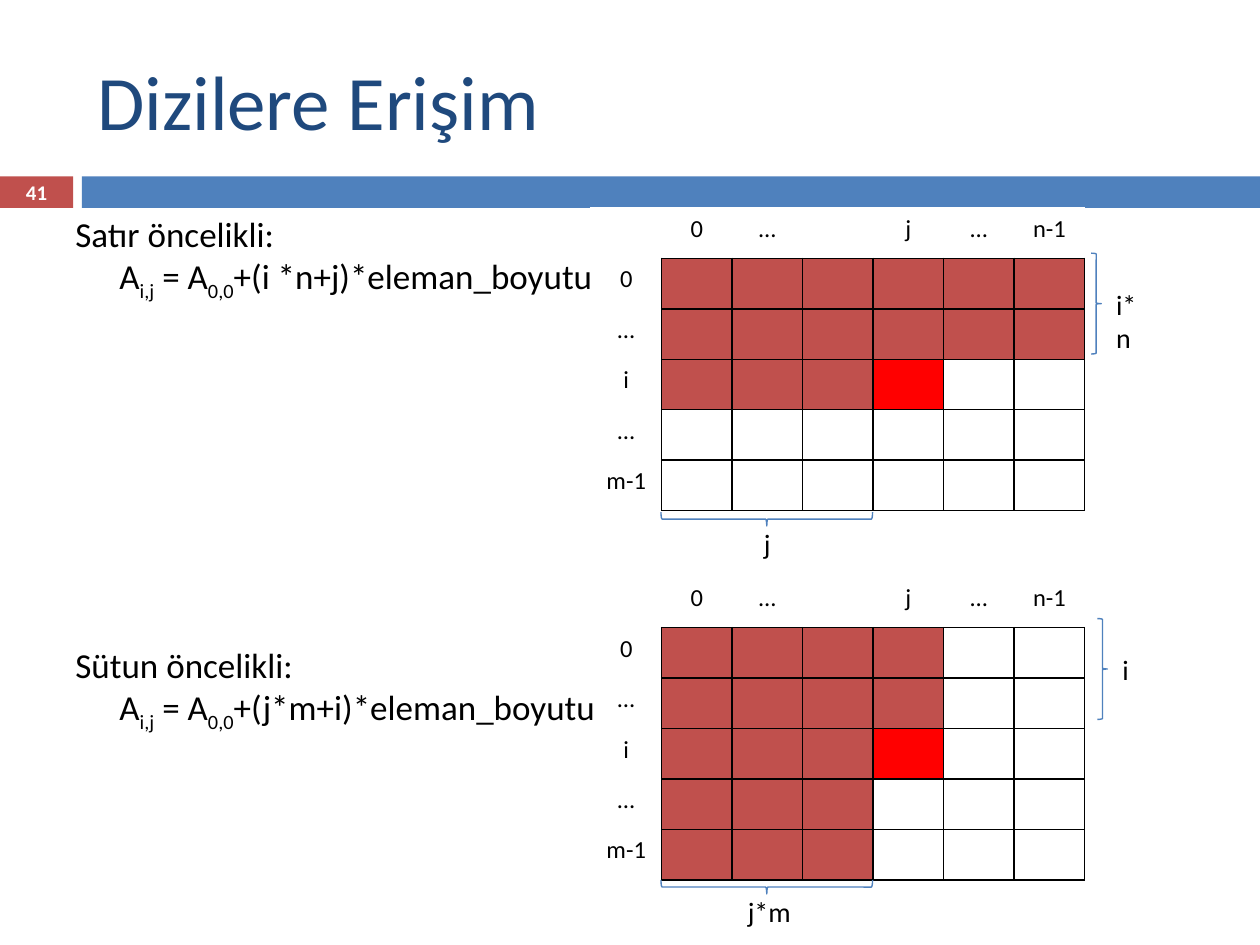
from pptx import Presentation
from pptx.dml.color import RGBColor
from pptx.enum.shapes import MSO_SHAPE
from pptx.enum.text import MSO_ANCHOR, PP_ALIGN
from pptx.oxml import parse_xml
from pptx.oxml.ns import nsdecls
from pptx.util import Inches, Pt

COLORS = {
    "title": "1F497D",
    "bar": "4F81BD",
    "visited": "C0504D",
    "target": "FF0000",
    "white": "FFFFFF",
    "black": "000000",
}
COLUMN_LABELS = ["", "0", "…", "", "j", "…", "n-1"]
ROW_LABELS = ["", "0", "…", "i", "…", "m-1"]
TARGET_ROW, TARGET_COLUMN = 2, 3


class SlideBuilder:
    font_name = "Calibri"

    def __init__(self, slide):
        self.slide = slide

    def color(self, name):
        return RGBColor.from_string(COLORS[name])

    def format_font(self, font, size, color="black", bold=False):
        font.name = self.font_name
        font.size = Pt(size)
        font.bold = bold
        font.color.rgb = self.color(color)

    def title(self, text, left, top, width, height):
        shape = self.slide.shapes.title
        shape.left, shape.top = Inches(left), Inches(top)
        shape.width, shape.height = Inches(width), Inches(height)
        shape.text_frame.text = text
        shape.text_frame.vertical_anchor = MSO_ANCHOR.MIDDLE
        paragraph = shape.text_frame.paragraphs[0]
        paragraph.alignment = PP_ALIGN.LEFT
        self.format_font(paragraph.runs[0].font, 44, "title")

    def bar(self, left, top, width, height, color):
        shape = self.slide.shapes.add_shape(
            MSO_SHAPE.RECTANGLE, Inches(left), Inches(top), Inches(width), Inches(height))
        shape.shadow.inherit = False
        shape.fill.solid()
        shape.fill.fore_color.rgb = self.color(color)
        shape.line.fill.background()

    def brace(self, left, top, width, height, rotation=0):
        shape = self.slide.shapes.add_shape(
            MSO_SHAPE.RIGHT_BRACE, Inches(left), Inches(top), Inches(width), Inches(height))
        shape.rotation = rotation
        shape.shadow.inherit = False
        shape.fill.background()
        shape.line.color.rgb = self.color("bar")
        shape.line.width = Pt(0.79)

    def text_box(self, left, top, width, height):
        box = self.slide.shapes.add_textbox(
            Inches(left), Inches(top), Inches(width), Inches(height))
        box.text_frame.word_wrap = True
        return box.text_frame

    def label(self, text, left, top, width, height, size=16,
              alignment=PP_ALIGN.CENTER, color="black", bold=False):
        frame = self.text_box(left, top, width, height)
        frame.text = text
        frame.vertical_anchor = MSO_ANCHOR.MIDDLE if bold else MSO_ANCHOR.TOP
        frame.paragraphs[0].alignment = alignment
        self.format_font(frame.paragraphs[0].runs[0].font, size, color, bold)

    def formula(self, paragraph, heading, offset):
        """Write a heading and, on the next line, an address formula."""
        properties = paragraph._p.get_or_add_pPr()
        properties.set("marL", str(Inches(0.35)))
        properties.set("indent", str(-Inches(0.35)))
        paragraph.text = f"{heading}\v"
        for text, subscript in [("A", False), ("i,j", True), (" = A", False),
                                ("0,0", True), (f"+{offset}*eleman_boyutu", False)]:
            run = paragraph.add_run()
            run.text = text
            if subscript:
                run.font._element.set("baseline", "-25000")
        for run in paragraph.runs:
            self.format_font(run.font, 20)

    def cell_borders(self, cell, colors):
        properties = cell._tc.get_or_add_tcPr()
        for side, color in zip("LRTB", colors):
            properties.append(parse_xml(
                f'<a:ln{side} {nsdecls("a")} w="12700"><a:solidFill>'
                f'<a:srgbClr val="{COLORS[color]}"/></a:solidFill></a:ln{side}>'))

    def matrix(self, left, top, is_visited):
        rows, columns = len(ROW_LABELS), len(COLUMN_LABELS)
        table = self.slide.shapes.add_table(
            rows, columns, Inches(left), Inches(top), Inches(3.92), Inches(2.33)).table
        table.first_row = table.horz_banding = False
        for column in table.columns:
            column.width = Inches(0.56)
        for index, row in enumerate(table.rows):
            row.height = Inches(0.4 if index else 0.33)
        for row in range(rows):
            for column in range(columns):
                cell = table.cell(row, column)
                inside = row > 0 and column > 0
                position = (row - 1, column - 1)
                fill = "white"
                if inside and position == (TARGET_ROW, TARGET_COLUMN):
                    fill = "target"
                elif inside and is_visited(*position):
                    fill = "visited"
                # Edges that touch the matrix are black, the others white
                edge = "black" if inside else "white"
                right = "black" if row > 0 else "white"
                bottom = "black" if column > 0 else "white"
                self.cell_borders(cell, [edge, right, edge, bottom])
                cell.fill.solid()
                cell.fill.fore_color.rgb = self.color(fill)
                text = "" if inside else COLUMN_LABELS[column] or ROW_LABELS[row]
                if text:
                    cell.text_frame.text = text
                    paragraph = cell.text_frame.paragraphs[0]
                    paragraph.alignment = PP_ALIGN.CENTER
                    self.format_font(paragraph.runs[0].font, 14)


def main():
    presentation = Presentation()
    presentation.slide_width, presentation.slide_height = Inches(10), Inches(7.5)
    builder = SlideBuilder(presentation.slides.add_slide(presentation.slide_layouts[5]))

    # Title, bars and slide number
    builder.bar(0, 1.4, 0.58, 0.25, "visited")
    builder.bar(0.65, 1.4, 9.35, 0.25, "bar")
    builder.title("Dizilere Erişim", 0.67, 0.25, 8.92, 1.08)
    builder.label("41", 0, 1.39, 0.58, 0.27, size=11.9, color="white", bold=True)

    # Row-major matrix
    builder.matrix(4.69, 1.65, lambda row, column:
                   (row, column) < (TARGET_ROW, TARGET_COLUMN))
    builder.brace(8.66, 2.01, 0.08, 0.8)
    builder.brace(6.03, 3.28, 0.11, 1.68, rotation=90)
    builder.label("i*n", 8.76, 2.23, 0.46, 0.37, alignment=PP_ALIGN.LEFT)
    builder.label("j", 5.85, 4.13, 0.48, 0.37)

    # Column-major matrix
    builder.matrix(4.69, 4.58, lambda row, column:
                   (column, row) < (TARGET_COLUMN, TARGET_ROW))
    builder.brace(8.71, 4.91, 0.08, 0.8)
    builder.brace(6.03, 6.2, 0.11, 1.68, rotation=90)
    builder.label("i", 8.81, 5.13, 0.25, 0.37, alignment=PP_ALIGN.LEFT)
    builder.label("j*m", 5.77, 7.05, 0.67, 0.37)

    # Address formulas
    frame = builder.text_box(0.5, 1.64, 9, 5.75)
    builder.formula(frame.paragraphs[0], "Satır öncelikli:", "(i *n+j)")
    column_major = frame.add_paragraph()
    column_major.space_before = Pt(195)
    builder.formula(column_major, "Sütun öncelikli:", "(j*m+i)")

    presentation.save("out.pptx")


if __name__ == "__main__":
    main()
